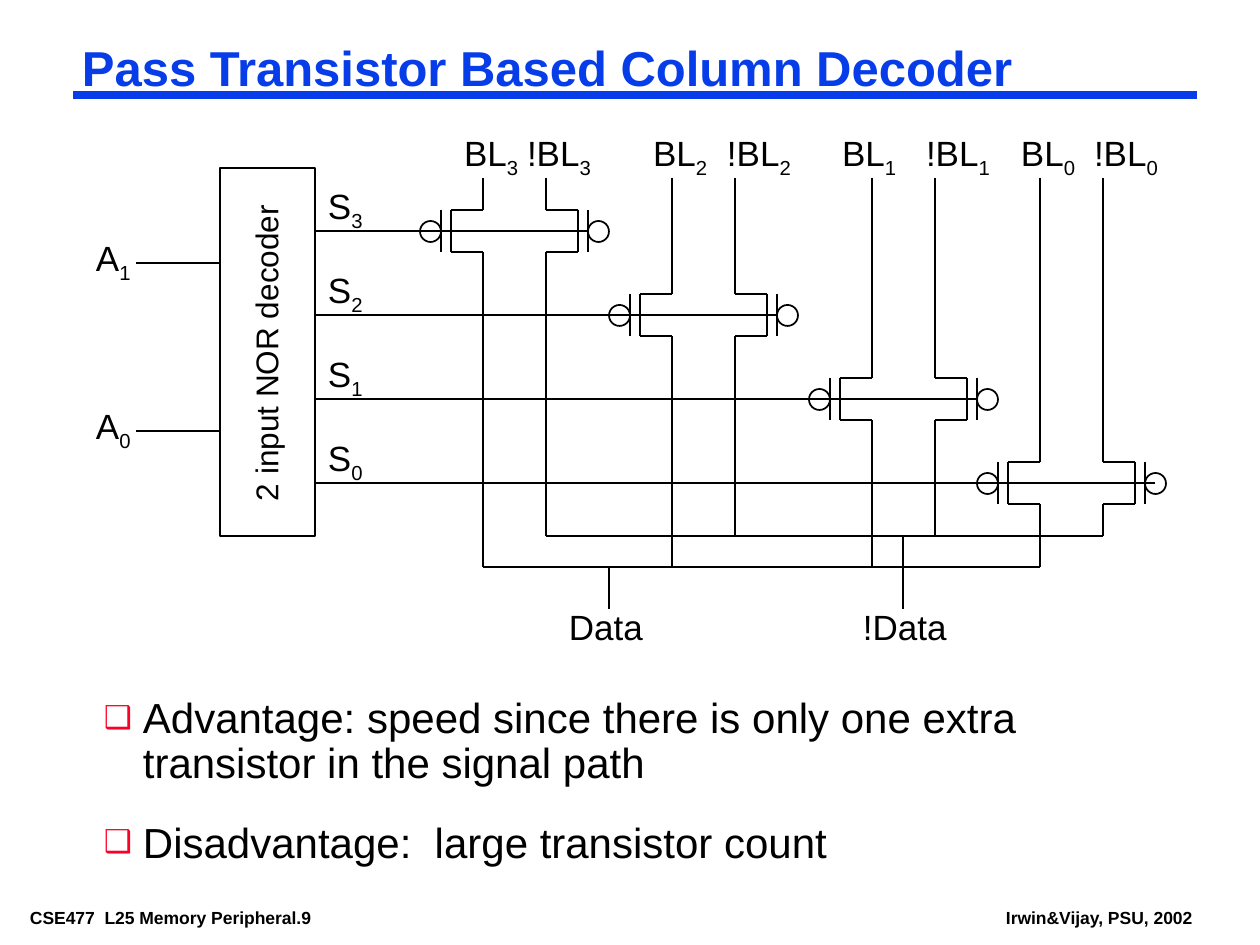
import pptx
import pptx.util
import pptx.dml.color
import pptx.enum.shapes
import pptx.enum.text
import pptx.oxml.ns
import lxml.etree

SCALE = 914400 / 126
INK, BLUE, RED = "000000", "063DE8", "FC0128"
SHAPE = pptx.enum.shapes.MSO_SHAPE


def px(n):
    return pptx.util.Emu(round(n * SCALE))


def rgb(color):
    return pptx.dml.color.RGBColor.from_string(color)


def sub(parent, tag, **attrs):
    return lxml.etree.SubElement(parent, pptx.oxml.ns.qn(tag), **attrs)


def line(parent, x1, y1, x2, y2, color=INK, width=1):
    c = parent.shapes.add_connector(
        pptx.enum.shapes.MSO_CONNECTOR.STRAIGHT, px(x1), px(y1), px(x2), px(y2))
    c.line.color.rgb = rgb(color)
    c.line.width = pptx.util.Pt(width)
    sub(c._element.spPr, "a:effectLst")


def outline(s, kind, x, y, w, h):
    sp = s.shapes.add_shape(kind, px(x), px(y), px(w), px(h))
    sp.shadow.inherit = False
    sp.fill.background()
    sp.line.color.rgb = rgb(INK)
    sp.line.width = pptx.util.Pt(1)


def frame(sp, inset_x=13, inset_y=6):
    tf = sp.text_frame
    tf.word_wrap = True
    tf.auto_size = pptx.enum.text.MSO_AUTO_SIZE.NONE
    tf.vertical_anchor = pptx.enum.text.MSO_ANCHOR.TOP
    tf.margin_left = tf.margin_right = px(inset_x)
    tf.margin_top = tf.margin_bottom = px(inset_y)
    return tf


def run(p, text, size, color=INK, bold=False):
    p.alignment = pptx.enum.text.PP_ALIGN.LEFT
    r = p.add_run()
    r.text = text
    r.font.name = "Arial"
    r.font.size = pptx.util.Pt(size)
    r.font.bold = bold
    r.font.color.rgb = rgb(color)
    return r


def label(s, x, y, w, h, text, index=None, size=20):
    sp = s.shapes.add_textbox(px(x), px(y), px(w), px(h))
    p = frame(sp).paragraphs[0]
    run(p, text, size)
    if index is not None:
        r = run(p, str(index), size)
        r.font._element.set("baseline", "-25000")
    return sp


def heading(s, x, y, w, h, text):
    line(s, x, y + 53, x + w, y + 53, BLUE, 4.5)
    sp = s.shapes.title
    sp.left, sp.top, sp.width, sp.height = px(x), px(y), px(w), px(h)
    p = frame(sp, 9, 4).paragraphs[0]
    p.line_spacing = 0.87
    run(p, text, 28, BLUE, True)


def footer(s, x, y, w, h, text):
    sp = s.shapes.add_textbox(px(x), px(y), px(w), px(h))
    run(frame(sp, 9, 4).paragraphs[0], text, 10, bold=True)


def transistor(s, x, y, side):
    """Bit line at x, gate on the given side (-1 left, 1 right)."""
    body, gate = x + 32 * side, x + 42 * side
    g = s.shapes.add_group_shape()
    line(g, body, y - 21, body, y + 21)
    line(g, gate, y - 21, gate, y + 21)
    for d in (-1, 1):
        line(g, body, y + 21 * d, x, y + 21 * d)
        line(g, x, y + 21 * d, x, y + 53 * d)
    outline(s, SHAPE.OVAL, min(gate, gate + 21 * side), y - 10, 21, 21)


def bit_line(s, x, y, side, top, bus):
    transistor(s, x, y, side)
    if y - 53 > top:
        line(s, x, top, x, y - 53)
    if y + 53 < bus:
        line(s, x, y + 53, x, bus)


def decoder(s, x, y, w, h):
    outline(s, SHAPE.RECTANGLE, x, y, w, h)
    sp = label(s, x - 122, y + 153, 336, 50, "2 input NOR decoder", size=18)
    sp.rotation = 270
    for index, dy in ((1, 95), (0, 263)):
        line(s, x - 84, y + dy, x, y + dy)
        label(s, x - 137, y + dy - 32, 95, 60, "A", index)


def column_mux(s, x, y):
    """Select lines start at x; bit line labels start at y."""
    top, bus, bus_bar = y + 52, y + 441, y + 410
    # index, bit line, its label, complement label
    columns = [(3, 168, 136, 199), (2, 357, 325, 399),
               (1, 557, 514, 598), (0, 725, 693, 766)]
    for index, dx, bl, blb in columns:
        row = y + 105 + 84 * (3 - index)
        left, right = x + dx, x + dx + 63
        line(s, x, row, right + 42 + (10 if index == 0 else 0), row)
        label(s, x, row - 52, 95, 60, "S", index)
        bit_line(s, left, row, -1, top, bus)
        bit_line(s, right, row, 1, top, bus_bar)
        label(s, x + bl, y, 95, 60, "BL", index)
        label(s, x + blb, y, 95, 60, "!BL", index)
    # Shared data lines
    first, last = x + columns[0][1], x + columns[-1][1]
    for shift, level, tap, text in ((0, bus, 294, "Data"), (63, bus_bar, 588, "!Data")):
        line(s, first + shift, level, last + shift, level)
        line(s, x + tap, level, x + tap, y + 483)
        label(s, x + tap - 53, y + 473, 116, 55, text)


def bullets(s, x, y, w, h, texts):
    tf = frame(s.shapes.add_textbox(px(x), px(y), px(w), px(h)), 9, 4)
    for i, text in enumerate(texts):
        p = tf.add_paragraph() if i else tf.paragraphs[0]
        p.line_spacing = 0.9
        p.space_before = pptx.util.Pt(19.5)
        run(p, text, 24)
        pPr = p._p.get_or_add_pPr()
        pPr.set("marL", str(px(39)))
        pPr.set("indent", str(-px(39)))
        sub(sub(pPr, "a:buClr"), "a:srgbClr", val=RED)
        sub(pPr, "a:buSzPct", val="75000")
        sub(pPr, "a:buFont", typeface="Arial")
        sub(pPr, "a:buChar", char="\u2751")


prs = pptx.Presentation()
prs.slide_width, prs.slide_height = px(1260), px(945)
s = prs.slides.add_slide(prs.slide_layouts[5])

heading(s, 73, 42, 1124, 58, "Pass Transistor Based Column Decoder")
decoder(s, 220, 168, 95, 368)
column_mux(s, 315, 126)
bullets(s, 95, 693, 1071, 178, [
    "Advantage: speed since there is only one extra transistor in the signal path",
    "Disadvantage:  large transistor count"])
footer(s, 21, 903, 373, 28, "CSE477  L25 Memory Peripheral.9")
footer(s, 997, 903, 207, 28, "Irwin&Vijay, PSU, 2002")

prs.save("out.pptx")
